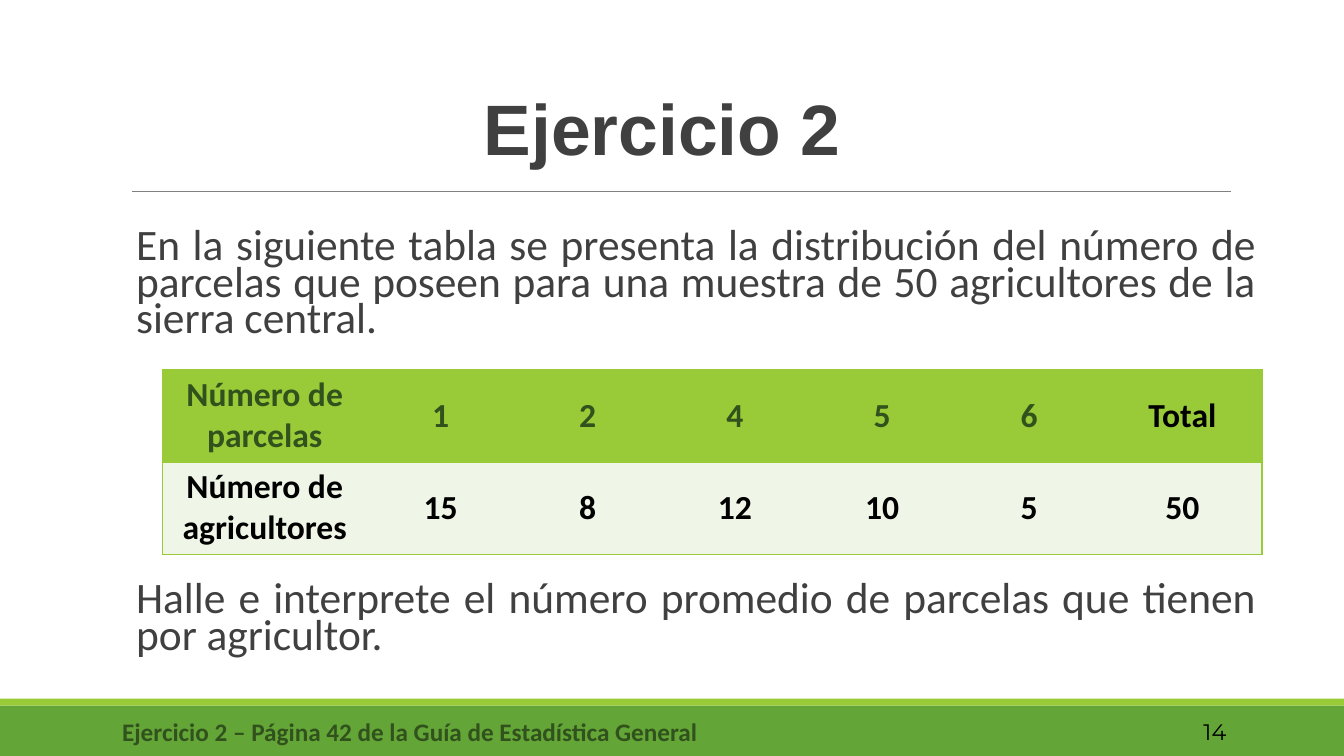
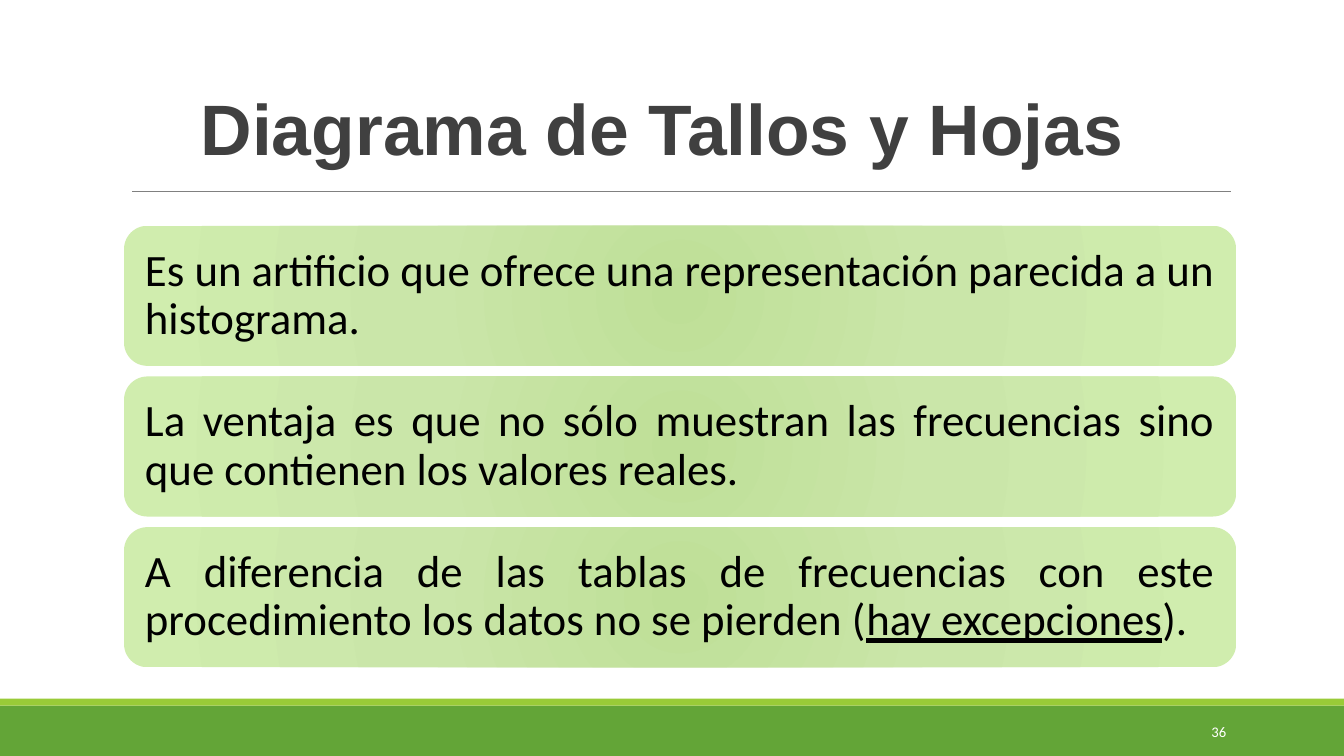
from dataclasses import dataclass

from pptx import Presentation
from pptx import util as u
from pptx.dml.color import RGBColor
from pptx.enum import shapes, text
from pptx.oxml import parse_xml
from pptx.oxml.ns import nsdecls, qn

C = {
    "band": "63A537",
    "stripe": "99CB38",
    "rule": "808080",
    "ink": "404040",
    "deep": "31521C",
    "pale": "EFF6E8",
    "black": "000000",
    "white": "FFFFFF",
}
PANEL_STOPS = ((0, "BEDF97"), (45, "CAE6A9"), (100, "D0EDAE"))
WIDTH, HEIGHT = u.Inches(13.33), u.Inches(7.5)
PLAIN_TABLE = "{2D5ABB26-0587-4C30-8999-92F81FD0307C}"
AL, ANC = text.PP_ALIGN, text.MSO_ANCHOR


def across(share: float) -> int:
    return round(WIDTH * share / 100)


def down(share: float) -> int:
    return round(HEIGHT * share / 100)


@dataclass(frozen=True)
class Box:
    left: float
    top: float
    width: float
    height: float

    def emu(self) -> tuple[int, int, int, int]:
        return across(self.left), down(self.top), across(self.width), down(self.height)


@dataclass(frozen=True)
class Span:
    text: str
    underline: bool = False


@dataclass(frozen=True)
class PageNumber:
    text: str
    size: float
    font: str
    color: str


BAND = Box(0, 93.33, 100, 6.67)
STRIPE = Box(0, 92.4, 100, 0.93)
RULE = Box(9.83, 25.33, 81.77, 0)
TITLE = Box(11.25, 11.47, 76.07, 11.87)
NUMBER = Box(81.25, 94.13, 10.73, 5.33)
CAPTION = Box(8.03, 94.13, 44.94, 5.33)
BODY = Box(10.13, 30, 83.27, 62)
TABLE = Box(12.08, 48.93, 81.83, 24.34)
PANEL = Box(9.23, 29.87, 82.75, 18.53)
PANEL_PITCH = 19.93
COLUMNS = (15.23, *[10.95] * 5, 11.85)

ROWS = (
    ("Número de parcelas", "1", "2", "4", "5", "6", "Total"),
    ("Número de agricultores", "15", "8", "12", "10", "5", "50"),
)
BODY_TEXT = (
    "En la siguiente tabla se presenta la distribución del número de parcelas "
    "que poseen para una muestra de 50 agricultores de la sierra central.",
    "Halle e interprete el número promedio de parcelas que tienen por agricultor.",
)
PANELS = (
    (Span("Es un artificio que ofrece una representación parecida a un histograma."),),
    (Span("La ventaja es que no sólo muestran las frecuencias sino que contienen los valores reales."),),
    (
        Span("A diferencia de las tablas de frecuencias con este procedimiento los datos no se pierden ("),
        Span("hay excepciones", True),
        Span(")."),
    ),
)


def write(tf, *paragraphs, size: float, color: str, font: str = "Calibri",
          bold: bool = False, align=AL.CENTER, anchor=ANC.MIDDLE,
          spacing: float = 1, gap: float = 0, margins=(0.1, 0.05)) -> None:
    tf.word_wrap = True
    tf.auto_size = text.MSO_AUTO_SIZE.NONE
    tf.vertical_anchor = anchor
    tf.margin_left = tf.margin_right = u.Inches(margins[0])
    tf.margin_top = tf.margin_bottom = u.Inches(margins[1])
    for i, spans in enumerate(paragraphs):
        p = tf.paragraphs[0] if i == 0 else tf.add_paragraph()
        p.alignment, p.line_spacing = align, spacing
        p.space_before = u.Pt(gap if i else 0)
        for span in (Span(spans),) if isinstance(spans, str) else spans:
            r = p.add_run()
            r.text = span.text
            r.font.name, r.font.size, r.font.bold = font, u.Pt(size), bold
            r.font.color.rgb = RGBColor.from_string(C[color])
            if span.underline:
                r.font.underline = True


def text_box(s, box: Box, *paragraphs, **fmt) -> None:
    write(s.shapes.add_textbox(*box.emu()).text_frame, *paragraphs, **fmt)


def bar(s, box: Box, color: str) -> None:
    sp = s.shapes.add_shape(shapes.MSO_SHAPE.RECTANGLE, *box.emu())
    sp.shadow.inherit = False
    sp.fill.solid()
    sp.fill.fore_color.rgb = RGBColor.from_string(C[color])
    sp.line.fill.background()


def base_slide(prs, title: str, number: PageNumber):
    s = prs.slides.add_slide(prs.slide_layouts[5])
    bar(s, BAND, "band")
    bar(s, STRIPE, "stripe")
    x, y, w, h = RULE.emu()
    ln = s.shapes.add_connector(shapes.MSO_CONNECTOR.STRAIGHT, x, y, x + w, y + h)
    ln.line.color.rgb = RGBColor.from_string(C["rule"])
    ln.line.width = u.Pt(0.5)
    ln._element.spPr.append(parse_xml(f"<a:effectLst {nsdecls('a')}/>"))
    sp = s.shapes.title
    sp.left, sp.top, sp.width, sp.height = TITLE.emu()
    write(sp.text_frame, title, size=51, color="ink", font="Arial", bold=True,
          anchor=ANC.BOTTOM, spacing=0.9, margins=(0, 0.05))
    text_box(s, NUMBER, number.text, size=number.size, font=number.font,
             color=number.color, align=AL.RIGHT)
    return s


def border(cell, sides: tuple[str, ...]) -> None:
    tcPr = cell._tc.get_or_add_tcPr()
    for i, side in enumerate(sides):
        tcPr.insert(i, parse_xml(
            f'<a:{side} {nsdecls("a")} w="12700"><a:solidFill>'
            f'<a:srgbClr val="{C["stripe"]}"/></a:solidFill></a:{side}>'))


def frequency_table(s) -> None:
    gf = s.shapes.add_table(len(ROWS), len(COLUMNS), *TABLE.emu())
    tbl = gf.table
    tbl._tbl.tblPr.find(qn("a:tableStyleId")).text = PLAIN_TABLE
    tbl.first_row = tbl.horz_banding = False
    for column, share in zip(tbl.columns, COLUMNS):
        column.width = across(share)
    last = len(COLUMNS) - 1
    for i, row in enumerate(ROWS):
        tbl.rows[i].height = down(TABLE.height / len(ROWS))
        for j, value in enumerate(row):
            cell = tbl.cell(i, j)
            cell.fill.solid()
            cell.fill.fore_color.rgb = RGBColor.from_string(C["pale" if i else "stripe"])
            cell.vertical_anchor = ANC.MIDDLE
            p = cell.text_frame.paragraphs[0]
            p.alignment = AL.CENTER
            r = p.add_run()
            r.text = value
            r.font.name, r.font.size, r.font.bold = "Calibri", u.Pt(24), True
            r.font.color.rgb = RGBColor.from_string(C["black" if i or j == last else "deep"])
            edges = {0: ("lnL",), last: ("lnR",)}.get(j, ())
            border(cell, (*edges, "lnT", "lnB"))


def panel(s, box: Box, spans: tuple[Span, ...]) -> None:
    sp = s.shapes.add_shape(shapes.MSO_SHAPE.ROUNDED_RECTANGLE, *box.emu())
    sp.shadow.inherit = False
    sp.line.fill.background()
    sp.fill.background()
    stops = "".join(f'<a:gs pos="{at * 1000}"><a:srgbClr val="{color}"/></a:gs>'
                    for at, color in PANEL_STOPS)
    spPr = sp._element.spPr
    spPr.replace(spPr.find(qn("a:noFill")), parse_xml(
        f'<a:gradFill {nsdecls("a")} rotWithShape="1"><a:gsLst>{stops}</a:gsLst>'
        '<a:path path="circle"><a:fillToRect l="100000" t="100000" r="100000" b="100000"/>'
        '</a:path></a:gradFill>'))
    write(sp.text_frame, spans, size=32, color="black", align=AL.JUSTIFY,
          spacing=0.9, margins=(0.14, 0.13))


def exercise_slide(prs) -> None:
    s = base_slide(prs, "Ejercicio 2", PageNumber("14", 16, "Montserrat", "black"))
    text_box(s, BODY, *BODY_TEXT, size=31, color="ink", align=AL.JUSTIFY,
             anchor=ANC.TOP, spacing=0.7, gap=174, margins=(0, 0.05))
    text_box(s, CAPTION, "Ejercicio 2 – Página 42 de la Guía de Estadística General",
             size=18, color="deep", bold=True)
    frequency_table(s)


def stem_leaf_slide(prs) -> None:
    s = base_slide(prs, "Diagrama de Tallos y Hojas",
                   PageNumber("36", 10.5, "Calibri", "white"))
    for i, spans in enumerate(PANELS):
        top = PANEL.top + i * PANEL_PITCH
        panel(s, Box(PANEL.left, top, PANEL.width, PANEL.height), spans)


def main() -> None:
    prs = Presentation()
    prs.slide_width, prs.slide_height = WIDTH, HEIGHT
    exercise_slide(prs)
    stem_leaf_slide(prs)
    prs.save("out.pptx")


if __name__ == "__main__":
    main()
